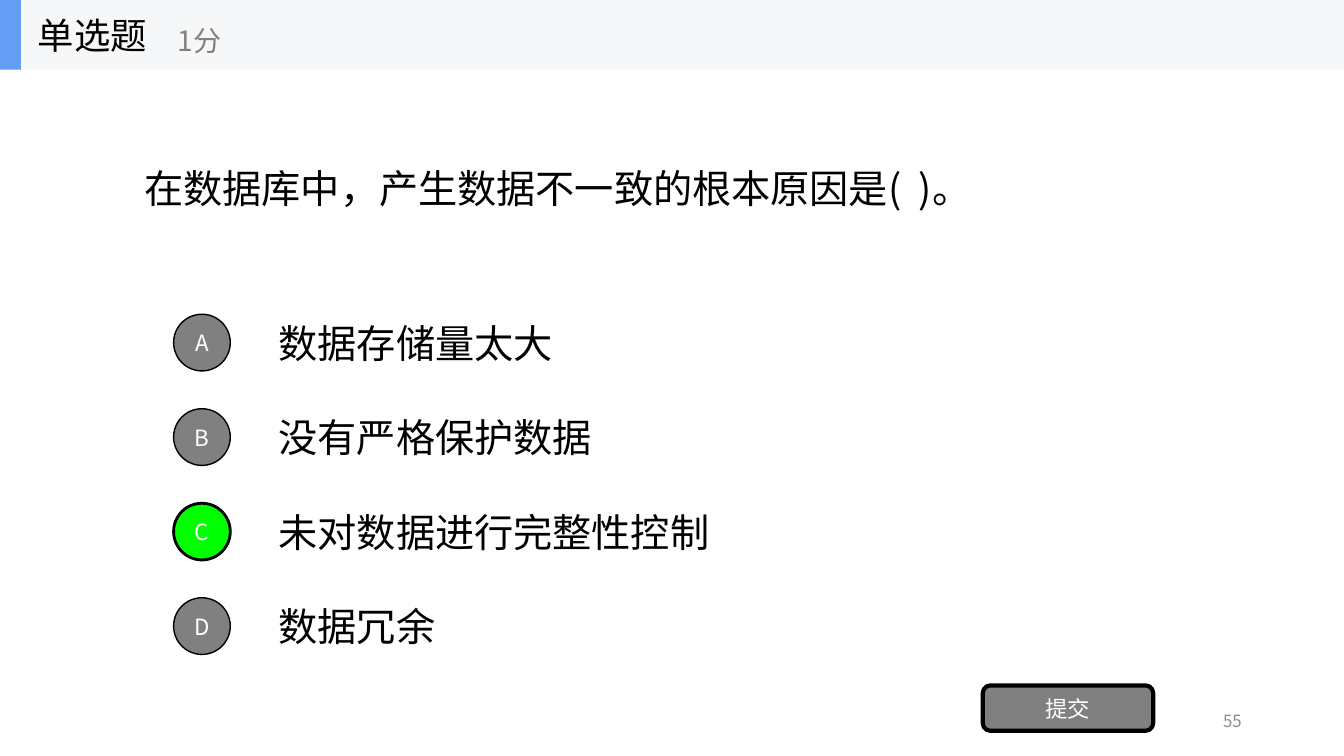
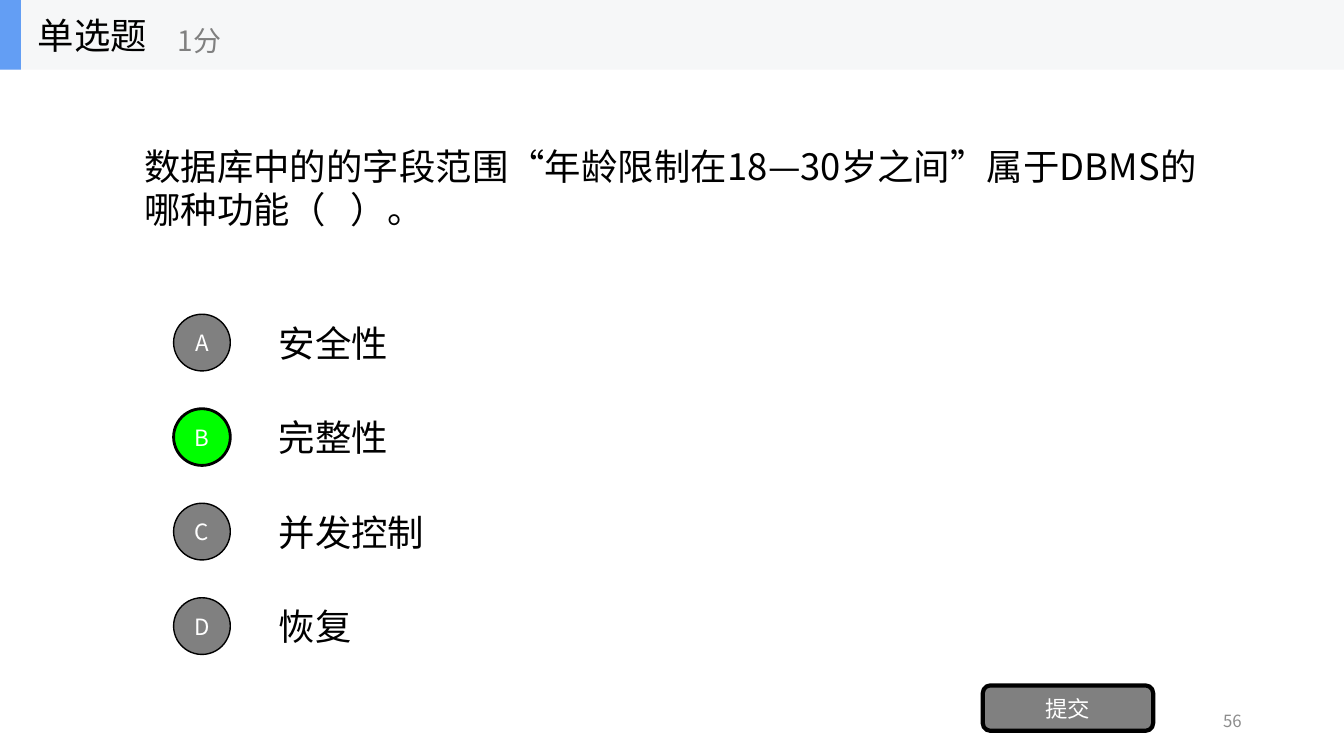
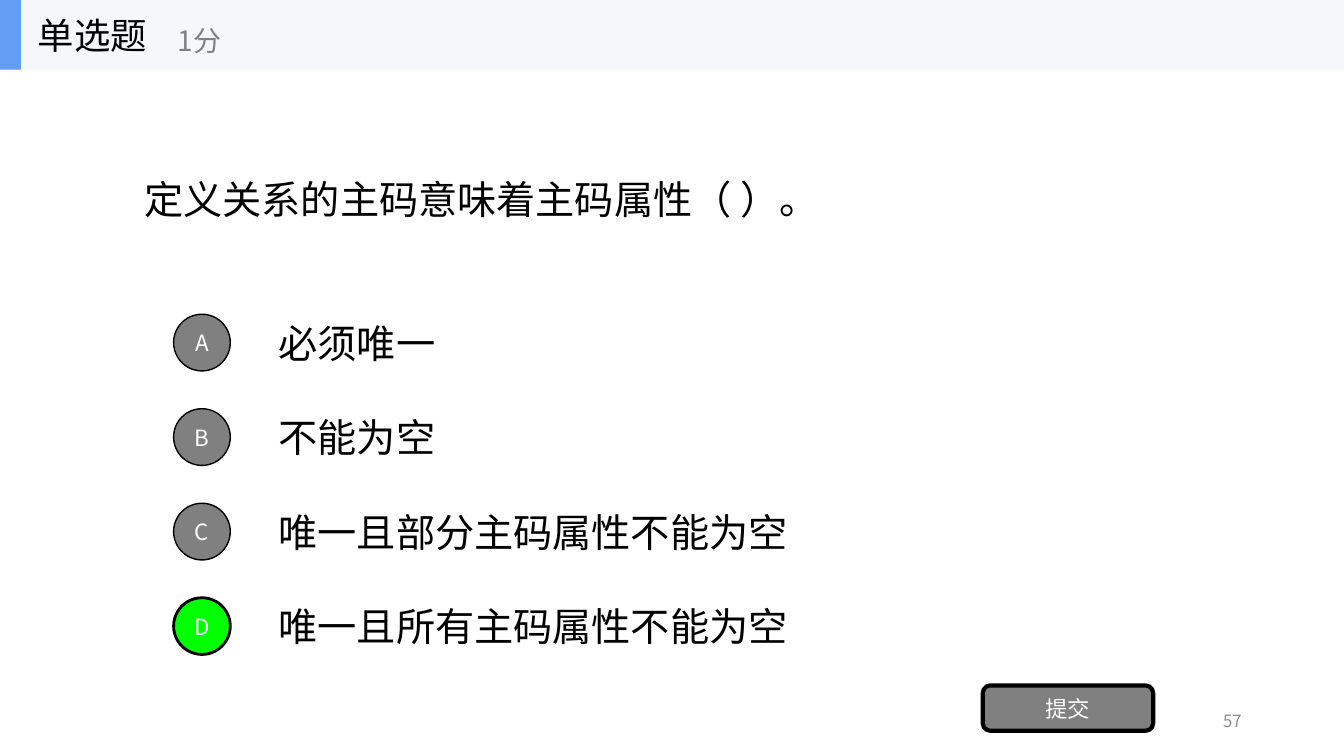
from dataclasses import dataclass

from lxml.etree import SubElement
from pptx import Presentation
from pptx.dml.color import RGBColor
from pptx.enum.shapes import MSO_SHAPE
from pptx.enum.text import MSO_ANCHOR, PP_ALIGN
from pptx.oxml.ns import qn
from pptx.shapes.autoshape import Shape
from pptx.slide import Slide
from pptx.util import Pt

FONT = "Noto Sans CJK SC"
COLORS = {
    "text": "000000",
    "band": "F6F7F8",
    "accent": "639EF4",
    "gray": "808080",
    "correct": "00FF00",
    "white": "FFFFFF",
    "number": "8C8C8C",
}

# Shared layout, in points
PAGE_WIDTH, PAGE_HEIGHT = 960, 540
BAND_HEIGHT = 49.7
QUESTION_LEFT, QUESTION_WIDTH, QUESTION_HEIGHT = 96, 768, 168.5
OPTION_LEFT, OPTION_TOP, OPTION_WIDTH, OPTION_HEIGHT = 192, 219.5, 672, 50.4
OPTION_STEP = 67.5
BADGE_LEFT, BADGE_SIZE = 124, 40.5


@dataclass(frozen=True)
class Area:
    left: float
    top: float
    width: float
    height: float


@dataclass(frozen=True)
class Question:
    number: int
    text: str
    options: tuple[str, ...]
    answer: int
    size: int = 28
    line_spacing: float = 1.0


QUESTIONS = (
    Question(
        55,
        "在数据库中，产生数据不一致的根本原因是(  )。",
        ("数据存储量太大", "没有严格保护数据", "未对数据进行完整性控制", "数据冗余"),
        answer=2,
    ),
    Question(
        56,
        "数据库中的的字段范围“年龄限制在18—30岁之间”属于DBMS的哪种功能（   ）。",
        ("安全性", "完整性", "并发控制", "恢复"),
        answer=1,
        size=26,
    ),
    Question(
        57,
        "定义关系的主码意味着主码属性（ ）。",
        ("必须唯一", "不能为空", "唯一且部分主码属性不能为空", "唯一且所有主码属性不能为空"),
        answer=3,
        line_spacing=1.5,
    ),
)


def color(name: str) -> RGBColor:
    return RGBColor.from_string(COLORS[name])


def write(box: Shape, text: str, *, size: float, fill: str = "text",
          align: PP_ALIGN = PP_ALIGN.LEFT, line_spacing: float = 1.0) -> None:
    """Write one vertically centred paragraph into a box."""
    frame = box.text_frame
    frame.word_wrap = True
    frame.vertical_anchor = MSO_ANCHOR.MIDDLE
    para = frame.paragraphs[0]
    para.alignment = align
    if line_spacing != 1.0:
        para.line_spacing = line_spacing
    span = para.add_run()
    span.text = text
    span.font.size = Pt(size)
    span.font.color.rgb = color(fill)
    span.font.name = FONT
    SubElement(span.font._element, qn("a:ea"), typeface=FONT)


def add_text(page: Slide, area: Area, text: str, *, size: float, fill: str = "text",
             align: PP_ALIGN = PP_ALIGN.LEFT, line_spacing: float = 1.0) -> None:
    box = page.shapes.add_textbox(Pt(area.left), Pt(area.top), Pt(area.width), Pt(area.height))
    write(box, text, size=size, fill=fill, align=align, line_spacing=line_spacing)


def add_block(page: Slide, kind: MSO_SHAPE, area: Area, fill: str,
              line_width: float = 0, label: str = "") -> None:
    """Draw a filled shape, with an outline and a white label if given."""
    block = page.shapes.add_shape(kind, Pt(area.left), Pt(area.top), Pt(area.width), Pt(area.height))
    block.shadow.inherit = False
    block.fill.solid()
    block.fill.fore_color.rgb = color(fill)
    if line_width:
        block.line.color.rgb = color("text")
        block.line.width = Pt(line_width)
    else:
        block.line.fill.background()
    if label:
        frame = block.text_frame
        frame.margin_left = frame.margin_right = frame.margin_top = frame.margin_bottom = 0
        write(block, label, size=16, fill="white", align=PP_ALIGN.CENTER)


def add_header(page: Slide) -> None:
    add_block(page, MSO_SHAPE.RECTANGLE, Area(0, 0, PAGE_WIDTH, BAND_HEIGHT), "band")
    add_block(page, MSO_SHAPE.RECTANGLE, Area(0, 0, 15, BAND_HEIGHT), "accent")
    add_text(page, Area(20, 0, 150, BAND_HEIGHT), "单选题", size=26)
    add_text(page, Area(120, 8.6, 180, 40.5), "1分", size=20, fill="gray")


def add_footer(page: Slide, number: int) -> None:
    add_text(page, Area(678, 500.5, 216, 28.8), str(number), size=12, fill="number",
             align=PP_ALIGN.RIGHT)
    add_block(page, MSO_SHAPE.ROUNDED_RECTANGLE, Area(702, 489.6, 121.7, 32.4), "gray", 3, "提交")


def add_option(page: Slide, question: Question, index: int) -> None:
    top = OPTION_TOP + index * OPTION_STEP
    add_text(page, Area(OPTION_LEFT, top, OPTION_WIDTH, OPTION_HEIGHT),
             question.options[index], size=question.size)
    is_answer = index == question.answer
    badge_top = top + (OPTION_HEIGHT - BADGE_SIZE) / 2
    add_block(page, MSO_SHAPE.OVAL, Area(BADGE_LEFT, badge_top, BADGE_SIZE, BADGE_SIZE),
              "correct" if is_answer else "gray", 2 if is_answer else 1, "ABCD"[index])


def add_question_page(deck: Presentation, question: Question) -> None:
    page = deck.slides.add_slide(deck.slide_layouts[6])
    add_header(page)
    add_text(page, Area(QUESTION_LEFT, BAND_HEIGHT, QUESTION_WIDTH, QUESTION_HEIGHT),
             question.text, size=question.size, line_spacing=question.line_spacing)
    for index in range(len(question.options)):
        add_option(page, question, index)
    add_footer(page, question.number)


def main() -> None:
    deck = Presentation()
    deck.slide_width, deck.slide_height = Pt(PAGE_WIDTH), Pt(PAGE_HEIGHT)
    for question in QUESTIONS:
        add_question_page(deck, question)
    deck.save("out.pptx")


if __name__ == "__main__":
    main()
